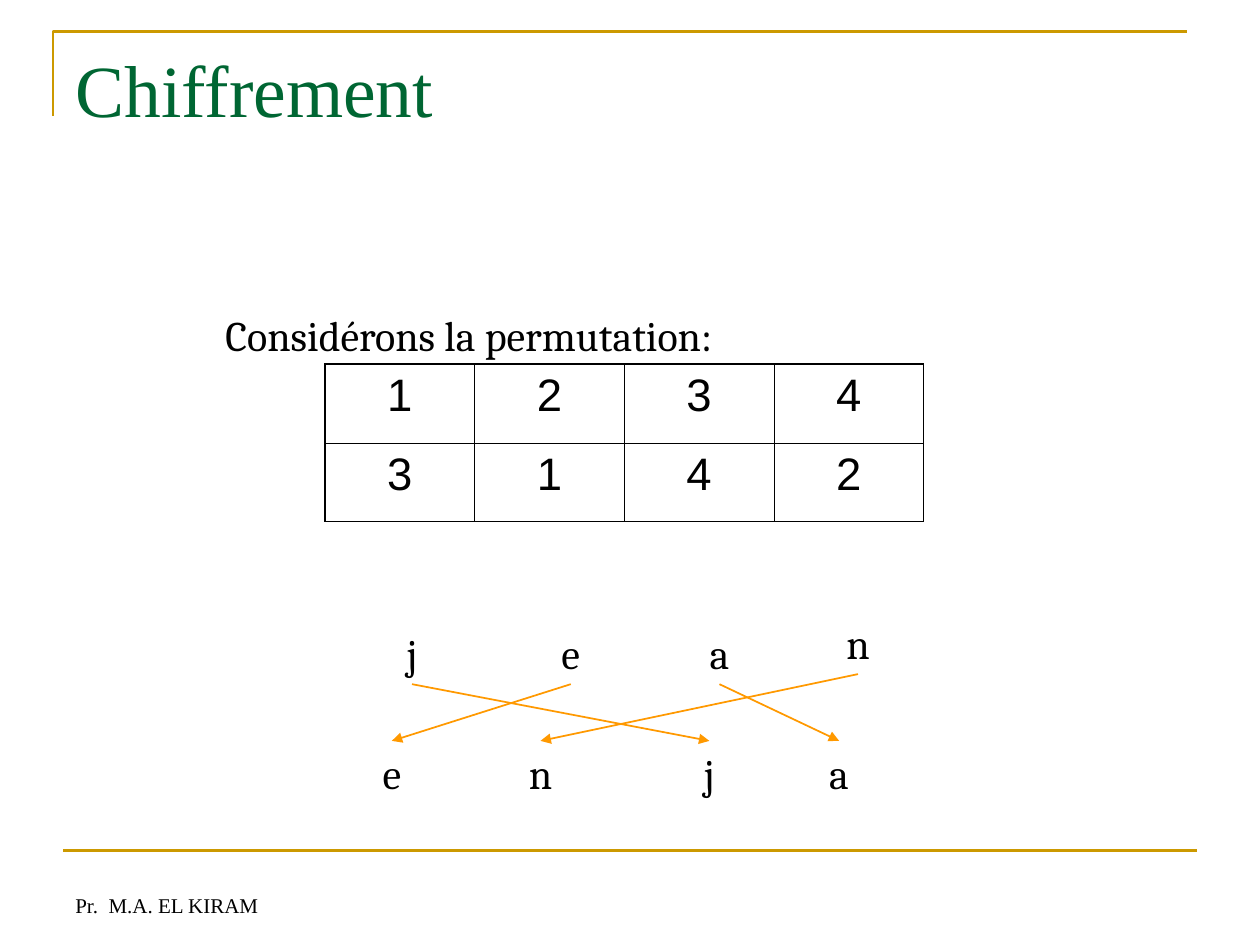
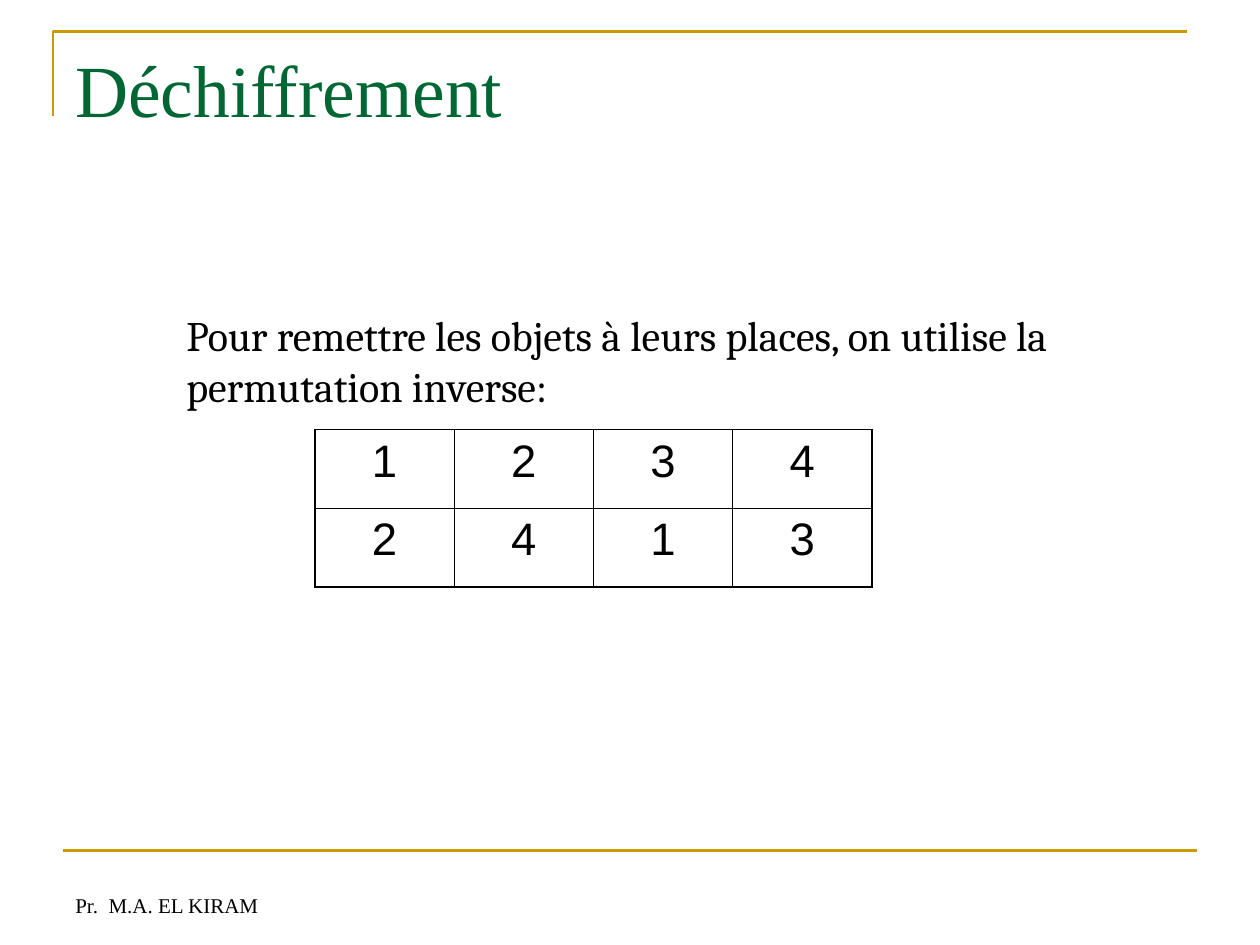
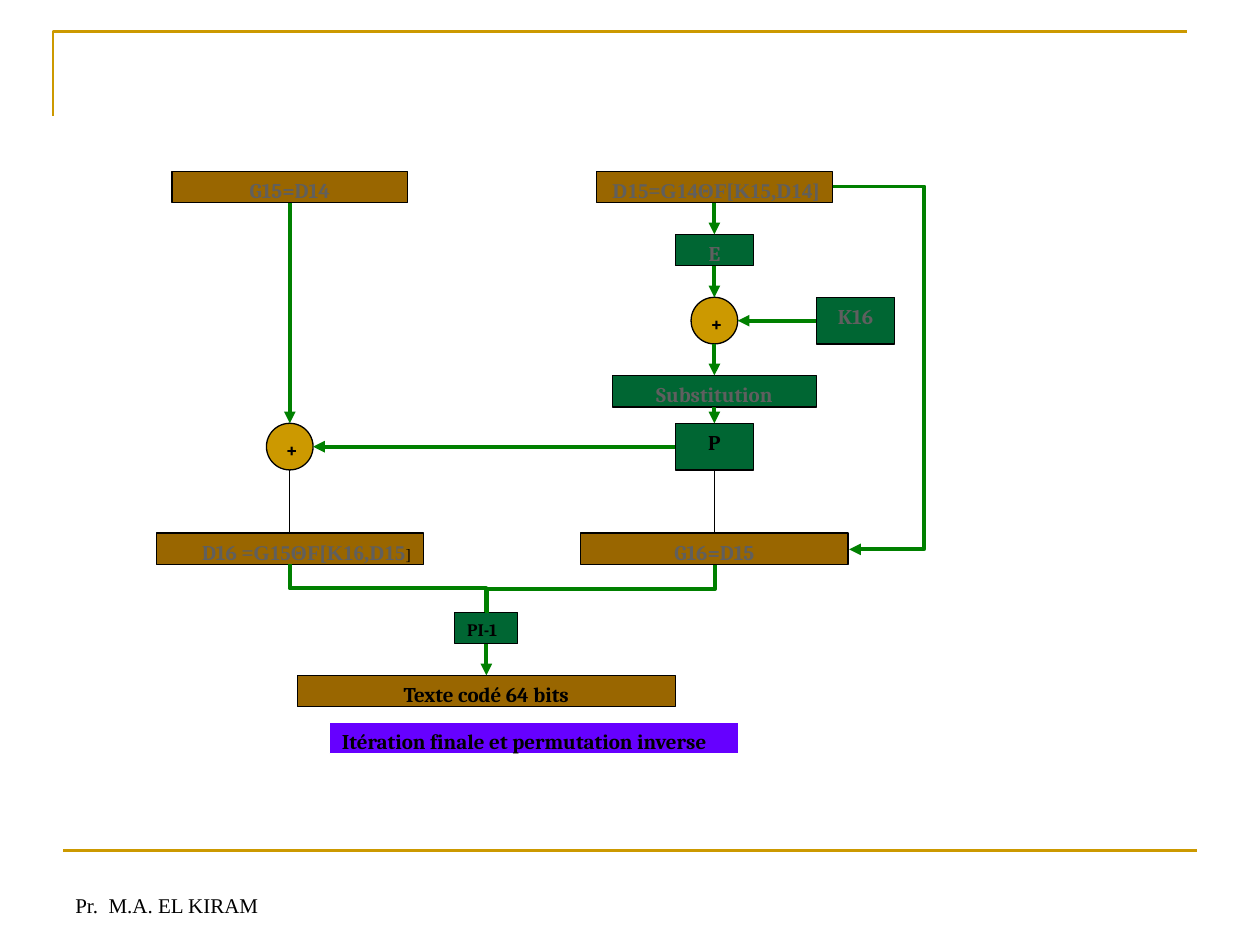
"""Build three slides on permutation ciphers and the last DES round."""
from lxml import etree
from pptx import Presentation
from pptx.dml.color import RGBColor
from pptx.enum.shapes import MSO_CONNECTOR, MSO_SHAPE
from pptx.enum.text import MSO_ANCHOR, PP_ALIGN
from pptx.oxml.ns import qn
from pptx.util import Inches, Pt

RECT, OVAL = MSO_SHAPE.RECTANGLE, MSO_SHAPE.OVAL
LINE, ELBOW = MSO_CONNECTOR.STRAIGHT, MSO_CONNECTOR.ELBOW
LEFT, MID, RIGHT = PP_ALIGN.LEFT, PP_ALIGN.CENTER, PP_ALIGN.RIGHT
TOP, LOW = MSO_ANCHOR.TOP, MSO_ANCHOR.BOTTOM

GOLD, GREEN, BROWN, VIOLET = "CC9900", "006633", "996600", "6600FF"
BLACK, WHITE, GREY = "000000", "FFFFFF", "5F5F5F"
ORANGE, LEAF = "FF9900", "008000"
SERIF, BODY, SANS = "Times New Roman", "Cambria", "Arial"
FOOTER = "Pr.  M.A. EL KIRAM"

CODE = {
    "title": "Chiffrement",
    "text": "Considérons la permutation:",
    "box": (1.69, 2.41, 6.77, 0.5),
    "rows": ["1234", "3142"],
    "grid": (2.58, 2.89, 4.75, 1.25),
}
DECODE = {
    "title": "Déchiffrement",
    "text": "Pour remettre les objets à leurs places, on utilise la permutation inverse:",
    "box": (1.38, 2.41, 7.09, 0.9),
    "rows": ["1234", "2413"],
    "grid": (2.5, 3.41, 4.42, 1.25),
}
PLAIN = {"j": (3.27, 4.93), "e": (4.53, 4.93), "a": (5.71, 4.93), "n": (6.81, 4.85)}
CIPHER = {"e": (3.11, 5.88), "n": (4.29, 5.88), "j": (5.63, 5.88), "a": (6.66, 5.88)}

COL1, COL2, COL3 = 2.3, 3.86, 5.67
NODES = {
    "G15": ("G15=D14", COL1, 1.36, 1.87, 0.25, BROWN, GREY),
    "D15": ("D15=G14ΘF[K15,D14]", COL3, 1.36, 1.87, 0.25, BROWN, GREY),
    "E": ("E", COL3, 1.86, 0.62, 0.25, GREEN, GREY),
    "xor2": ("+", COL3, 2.36, 0.37, 0.37, GOLD, BLACK),
    "K16": ("K16", 6.79, 2.36, 0.62, 0.37, GREEN, GREY),
    "S": ("Substitution", COL3, 2.98, 1.62, 0.25, GREEN, GREY),
    "P": ("P", COL3, 3.36, 0.62, 0.37, GREEN, BLACK),
    "xor1": ("+", COL1, 3.36, 0.37, 0.37, GOLD, BLACK),
    "G16": ("G16=D15", COL3, 4.23, 2.12, 0.25, BROWN, GREY),
    "D16": ("D16 ", COL1, 4.23, 2.12, 0.25, BROWN, GREY),
    "PI": ("PI-1", COL2, 4.86, 0.5, 0.25, GREEN, BLACK),
    "out": ("Texte codé 64 bits", COL2, 5.36, 3, 0.25, BROWN, BLACK),
    "note": ("Itération finale et permutation inverse",
             4.24, 5.73, 3.25, 0.25, VIOLET, BLACK),
}
ALIGN = {"D15": RIGHT, "D16": RIGHT, "PI": LEFT, "note": LEFT}
DOWN = [("D15", "E"), ("E", "xor2"), ("xor2", "S"), ("S", "P"),
        ("G15", "xor1"), ("PI", "out")]
BACK = [("K16", "xor2"), ("P", "xor1")]
STEMS = [("xor1", "D16"), ("P", "G16")]
BENDS = [
    ((2.89, 3.89, 0.38, 1.56), 270, True, 0.5, False),
    ((4.58, 3.77, 0.38, 1.81), 90, False, 0.5, False),
    ((6.61, 1.48, 0.13, 2.88), 0, False, 5.58, True),
]


def rgb(hue):
    """Turn a hex string into a colour."""
    return RGBColor.from_string(hue)


def style(font, face, size, hue, bold=False):
    """Set face, size, colour and weight."""
    font.name, font.size, font.bold = face, Pt(size), bold
    font.color.rgb = rgb(hue)


def write(shape, text, face, size, hue, align=LEFT, anchor=TOP, bold=False):
    """Put one styled paragraph in a shape."""
    frame = shape.text_frame
    frame.word_wrap, frame.vertical_anchor = True, anchor
    para = frame.paragraphs[0]
    para.text, para.alignment = text, align
    style(para.font, face, size, hue, bold)
    return para


def label(slide, box, *args, **kind):
    """Add a text box."""
    write(slide.shapes.add_textbox(*map(Inches, box)), *args, **kind)


def link(slide, start, end, hue, width, arrow=False, kind=LINE):
    """Add a connector between two points."""
    line = slide.shapes.add_connector(kind, *map(Inches, (*start, *end)))
    line.line.color.rgb, line.line.width = rgb(hue), Pt(width)
    props = line._element.spPr
    if arrow:
        etree.SubElement(props.find(qn("a:ln")), qn("a:tailEnd"), type="triangle")
    etree.SubElement(props, qn("a:effectLst"))
    return props


def bend(slide, box, turn, flip, ratio, arrow):
    """Add an elbow connector with its turn and bend point."""
    x, y, w, h = box
    props = link(slide, (x, y), (x + w, y + h), LEAF, 2.25, arrow, ELBOW)
    form = props.find(qn("a:xfrm"))
    form.set("rot", str(turn * 60000))
    if flip:
        form.set("flipH", "1")
    guides = props.find(qn("a:prstGeom")).find(qn("a:avLst"))
    etree.SubElement(guides, qn("a:gd"), name="adj1", fmla=f"val {round(ratio * 100000)}")


def base(deck, title=None):
    """Add a slide with its rules, footer and title."""
    slide = deck.slides.add_slide(deck.slide_layouts[6])
    pen = slide.shapes.build_freeform(Inches(0.42), Inches(0.92))
    pen.add_line_segments([(Inches(0.42), Inches(0.25)),
                           (Inches(9.42), Inches(0.25))], close=False)
    frame = pen.convert_to_shape()
    frame.shadow.inherit = False
    frame.fill.background()
    frame.line.color.rgb, frame.line.width = rgb(GOLD), Pt(1.5)
    link(slide, (0.5, 6.75), (9.5, 6.75), GOLD, 1.5)
    label(slide, (0.5, 6.83, 2.33, 0.5), FOOTER, SERIF, 12, BLACK, anchor=LOW)
    if title:
        label(slide, (0.5, 0.3, 9, 1.25), title, SERIF, 42, GREEN)
    return slide


def edge(cell, side, width):
    """Draw one border of a cell."""
    props = cell._tc.get_or_add_tcPr()
    line = etree.SubElement(props, qn(f"a:ln{side}"), w=str(Pt(width)))
    fill = etree.SubElement(line, qn("a:solidFill"))
    etree.SubElement(fill, qn("a:srgbClr"), val=BLACK)


def grid(slide, rows, box):
    """Add a ruled table of digits."""
    high, wide = len(rows), len(rows[0])
    table = slide.shapes.add_table(high, wide, *map(Inches, box)).table
    table.first_row = table.horz_banding = False
    for r, row in enumerate(rows):
        for c, digit in enumerate(row):
            cell = table.cell(r, c)
            outer = {"L": c == 0, "R": c == wide - 1, "T": r == 0, "B": r == high - 1}
            for side, thick in outer.items():
                edge(cell, side, 1.08 if thick else 0.45)
            cell.fill.background()
            para = cell.text_frame.paragraphs[0]
            para.text, para.alignment = digit, MID
            style(para.font, SANS, 26, BLACK)


def lesson(deck, data):
    """Add a slide with a sentence and a permutation table."""
    slide = base(deck, data["title"])
    label(slide, data["box"], data["text"], BODY, 24, BLACK)
    grid(slide, data["rows"], data["grid"])
    return slide


def swap(slide):
    """Show the letters before and after, joined by arrows."""
    for word in (PLAIN, CIPHER):
        for char, (x, y) in word.items():
            label(slide, (x - 0.315, y, 0.63, 0.5), char, BODY, 24, BLACK, align=MID)
    for char, (x, y) in PLAIN.items():
        link(slide, (x, y + 0.5), CIPHER[char], ORANGE, 1, True)


def node(slide, key):
    """Add one box or circle of the diagram."""
    text, x, y, w, h, fill, ink = NODES[key]
    kind = OVAL if text == "+" else RECT
    shape = slide.shapes.add_shape(kind, *map(Inches, (x - w / 2, y, w, h)))
    shape.shadow.inherit = False
    shape.fill.solid()
    shape.fill.fore_color.rgb = rgb(fill)
    shape.line.color.rgb = rgb(WHITE if key == "note" else BLACK)
    shape.line.width = Pt(0.75)
    face = SERIF if key == "D15" else BODY
    size = 10 if key == "PI" else 12
    para = write(shape, text, face, size, ink, ALIGN.get(key, MID), bold=True)
    if key == "D16":
        for part, size, hue, bold in (("=G15ΘF[K16,D15", 12, GREY, True),
                                      ("]", 9, BLACK, False)):
            run = para.add_run()
            run.text = part
            style(run.font, SERIF, size, hue, bold)


def drop(slide, pair, *look):
    """Join the bottom of one node to the top of the next."""
    (_, x, y, _, h, *_), (_, _, end, *_) = (NODES[key] for key in pair)
    link(slide, (x, y + h), (x, end), *look)


def final(deck):
    """Add the diagram of the last round."""
    slide = base(deck)
    for key in NODES:
        node(slide, key)
    for pair in DOWN:
        drop(slide, pair, LEAF, 2.25, True)
    for pair in STEMS:
        drop(slide, pair, BLACK, 0.75)
    for pair in BACK:
        (_, x, y, w, h, *_), (_, end, _, wide, *_) = (NODES[key] for key in pair)
        level = y + h / 2
        link(slide, (x - w / 2, level), (end + wide / 2, level), LEAF, 2.25, True)
    for item in BENDS:
        bend(slide, *item)


def main():
    """Build and save the deck."""
    deck = Presentation()
    deck.slide_width, deck.slide_height = Inches(10), Inches(7.5)
    swap(lesson(deck, CODE))
    lesson(deck, DECODE)
    final(deck)
    deck.save("out.pptx")


if __name__ == "__main__":
    main()
